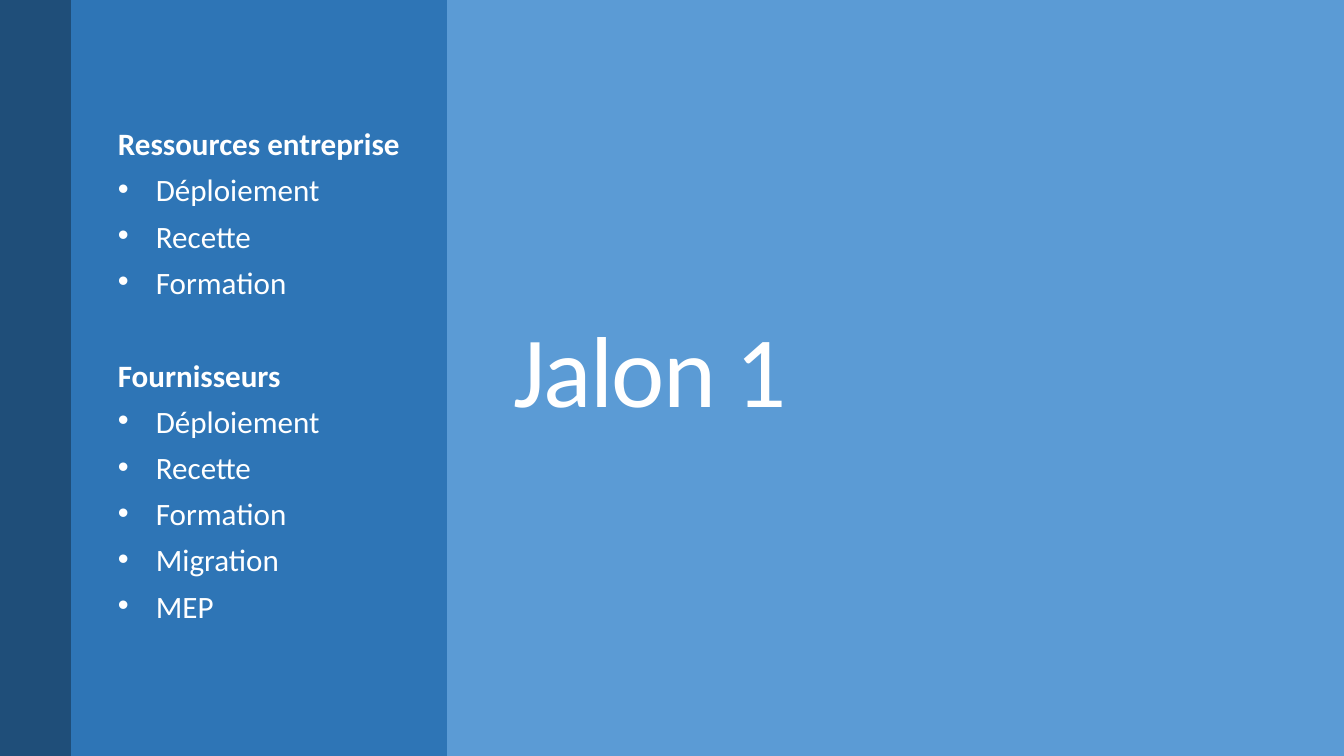
"""Build the milestone slide with its resource side panel."""
from dataclasses import dataclass

from lxml import etree
from pptx import Presentation
from pptx.dml import color
from pptx.enum import shapes, text
from pptx.oxml import ns
from pptx import util as u

WIDE, HIGH = 1344, 756
SCALE = 914400 / 100.8


@dataclass(frozen=True)
class Theme:
    """Colours, font and type sizes of the slide."""
    sky: str = "5B9BD5"
    blue: str = "2E75B6"
    navy: str = "1F4E79"
    white: str = "FFFFFF"
    font: str = "Calibri"
    head: float = 72
    body: float = 22.2
    gap: float = 13
    break_gap: float = 46.3


THEME = Theme()
GROUPS = (
    ("Ressources entreprise", ("Déploiement", "Recette", "Formation")),
    ("Fournisseurs",
     ("Déploiement", "Recette", "Formation", "Migration", "MEP")),
)


def px(size):
    """Turn pixels into EMU."""
    return u.Emu(round(size * SCALE))


def paint(fill, tone):
    """Give a fill one solid colour."""
    fill.solid()
    fill.fore_color.rgb = color.RGBColor.from_string(tone)


def add_band(slide, width, tone):
    """Add a full-height band from the left edge."""
    band = slide.shapes.add_shape(
        shapes.MSO_SHAPE.RECTANGLE, 0, 0, px(width), px(HIGH))
    band.shadow.inherit = False
    paint(band.fill, tone)
    band.line.fill.background()


def style(para, size, bold=False):
    """Format the runs of a paragraph."""
    para.alignment = text.PP_ALIGN.LEFT
    for run in para.runs:
        run.font.name = THEME.font
        run.font.size = u.Pt(size)
        run.font.bold = bold
        run.font.color.rgb = color.RGBColor.from_string(THEME.white)


def set_frame(frame):
    """Wrap the text and centre it vertically."""
    frame.word_wrap = True
    frame.auto_size = text.MSO_AUTO_SIZE.NONE
    frame.vertical_anchor = text.MSO_ANCHOR.MIDDLE


def set_title(slide, words):
    """Place the title above the bands drawn so far."""
    title = slide.shapes.title
    title.element.getparent().append(title.element)
    title.left, title.top = px(503), px(118)
    title.width, title.height = px(643), px(521)
    paint(title.fill, THEME.sky)
    title.text_frame.text = words
    set_frame(title.text_frame)
    para = title.text_frame.paragraphs[0]
    para.line_spacing = 0.8
    style(para, THEME.head)
    para.runs[0].font._element.set("spc", "-120")


def add_dot(para):
    """Give a paragraph a hanging round bullet."""
    props = para._p.get_or_add_pPr()
    props.set("marL", str(px(38)))
    props.set("indent", str(px(-38)))
    etree.SubElement(props, ns.qn("a:buFont")).set("typeface", "Arial")
    etree.SubElement(props, ns.qn("a:buChar")).set("char", "•")


def add_list(slide, groups):
    """Add bold headings, each with its bulleted items."""
    box = slide.shapes.add_textbox(px(108), px(118), px(304), px(521))
    frame = box.text_frame
    set_frame(frame)
    rows = [(row, row == name) for name, items in groups
            for row in (name, *items)]
    frame.text = "\n".join(row for row, _ in rows)
    for rank, (para, (_, bold)) in enumerate(zip(frame.paragraphs, rows)):
        para.line_spacing = 0.75
        para.space_before = u.Pt(
            THEME.break_gap if bold and rank else THEME.gap)
        style(para, THEME.body, bold)
        if not bold:
            add_dot(para)


def main():
    """Build and save the slide."""
    deck = Presentation()
    deck.slide_width, deck.slide_height = px(WIDE), px(HIGH)
    slide = deck.slides.add_slide(deck.slide_layouts[5])
    paint(slide.background.fill, THEME.sky)
    add_band(slide, WIDE, THEME.sky)
    set_title(slide, "Jalon 1")
    add_band(slide, 447, THEME.blue)
    add_list(slide, GROUPS)
    add_band(slide, 71, THEME.navy)
    deck.save("out.pptx")


if __name__ == "__main__":
    main()
